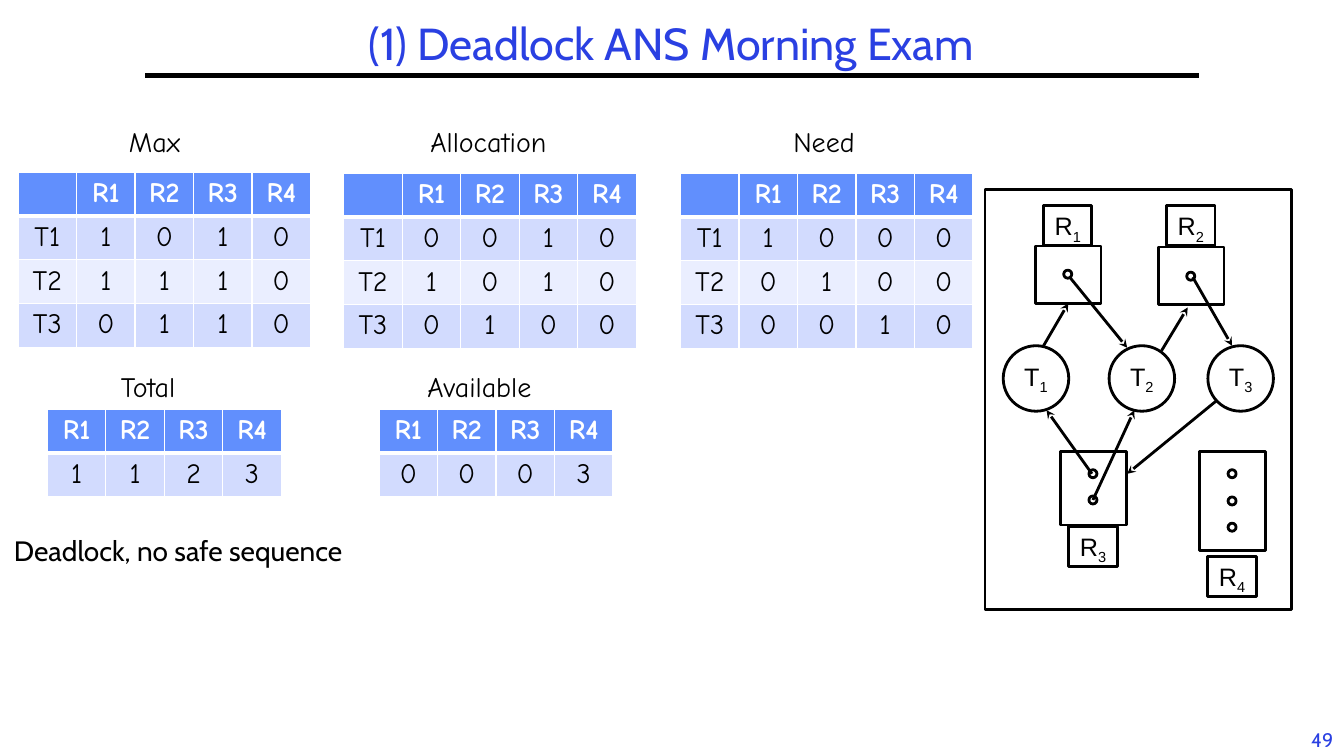
from lxml.etree import SubElement
from pptx import Presentation
from pptx.dml.color import RGBColor
from pptx.enum.shapes import MSO_CONNECTOR as Connector, MSO_SHAPE as Preset
from pptx.enum.text import MSO_ANCHOR as Anchor, MSO_AUTO_SIZE as AutoSize, PP_ALIGN as Align
from pptx.oxml import parse_xml
from pptx.oxml.ns import nsdecls, qn
from pptx.util import Emu, Pt

PX = 9144
COLORS = {
    "title": "2A40E2", "black": "000000", "white": "FFFFFF",
    "header": "618FFD", "odd": "D2DBFE", "even": "EAEEFF",
}
COLUMN = 58
RESOURCES = ["R1", "R2", "R3", "R4"]

MATRICES = [
    ("Max", (118, 119, 76), (18, 171, 42), ["1010", "1110", "0110"]),
    ("Allocation", (417, 119, 150), (341, 172, 42), ["0010", "1010", "0100"]),
    ("Need", (777, 119, 90), (675, 172, 43), ["1000", "0100", "0010"]),
]
VECTORS = [
    ("Total", (110, 362, 89), (47, 406, 41), "1123"),
    ("Available", (414, 362, 139), (376, 406, 43), "0003"),
]

CIRCLE, BOX_WIDTH, DOT = 65, 65, 8
LABEL_WIDTH, LABEL_HEIGHT = 48, 40
THREADS = [("1", 995), ("2", 1100), ("3", 1198)]
RESOURCE_BOXES = [
    ("1", 1027, 244, 57, [268], 204),
    ("2", 1149, 245, 57, [270], 204),
    ("3", 1052, 448, 73, [466, 492], 522),
    ("4", 1190, 448, 98, [466, 493, 519], 552),
]
ARROWS = [
    ((1061, 275), (1118, 345)),
    ((1152, 348), (1178, 305)),
    ((1183, 275), (1222, 343)),
    ((1083, 470), (1038, 407)),
    ((1084, 496), (1125, 407)),
    ((1206, 398), (1118, 470)),
]


def px(value):
    return Emu(round(value * PX))


def rgb(name):
    return RGBColor.from_string(COLORS[name])


class SlideBuilder:
    """Draws styled elements on the current slide."""

    def __init__(self, slide):
        self.slide = slide
        self.shapes = slide.shapes

    def format_paragraph(self, paragraph, font, size, color, align, bold=False):
        paragraph.alignment = align
        for run in paragraph.runs:
            run.font.name = font
            run.font.size = Pt(size)
            run.font.bold = bold
            run.font.color.rgb = rgb(color)

    def text(self, text, left, top, width, height, font="Comic Neue", size=20,
             color="black", align=Align.LEFT, wrap=False):
        shape = self.shapes.add_textbox(px(left), px(top), px(width), px(height))
        frame = shape.text_frame
        frame.text = text
        frame.word_wrap = wrap
        frame.auto_size = AutoSize.SHAPE_TO_FIT_TEXT
        self.format_paragraph(frame.paragraphs[0], font, size, color, align)
        return frame

    def title(self, text, left, top, width, height):
        frame = self.text(text, left, top, width, height, "Cabin", 32, "title", Align.CENTER, True)
        frame.auto_size = AutoSize.NONE
        frame.vertical_anchor = Anchor.MIDDLE
        frame.paragraphs[0].line_spacing = 0.9

    def shape(self, preset, left, top, width, height):
        shape = self.shapes.add_shape(preset, px(left), px(top), px(width), px(height))
        shape.shadow.inherit = False
        shape.fill.solid()
        shape.fill.fore_color.rgb = rgb("white")
        shape.line.color.rgb = rgb("black")
        shape.line.width = Pt(2)
        return shape

    def node(self, preset, letter, index, left, top, width, height, anchor):
        frame = self.shape(preset, left, top, width, height).text_frame
        frame.text = letter
        frame.word_wrap = False
        frame.vertical_anchor = anchor
        paragraph = frame.paragraphs[0]
        subscript = paragraph.add_run()
        subscript.text = index
        self.format_paragraph(paragraph, "Arial", 18, "black", Align.CENTER)
        subscript.font._element.set("baseline", "-25000")

    def resource(self, index, left, top, height, dot_tops, label_top):
        box = self.shape(Preset.RECTANGLE, left, top, BOX_WIDTH, height)
        for dot_top in dot_tops:
            self.shape(Preset.OVAL, left + (BOX_WIDTH - DOT) // 2, dot_top, DOT, DOT)
        label_left = left + (BOX_WIDTH - LABEL_WIDTH) // 2
        self.node(Preset.RECTANGLE, "R", index, label_left, label_top,
                  LABEL_WIDTH, LABEL_HEIGHT, Anchor.TOP)
        return box

    def line(self, start, end, width=2, arrow=False):
        connector = self.shapes.add_connector(
            Connector.STRAIGHT, *(px(value) for value in (*start, *end)))
        connector.line.color.rgb = rgb("black")
        connector.line.width = Pt(width)
        if arrow:
            SubElement(connector.line._get_or_add_ln(), qn("a:tailEnd"), type="stealth")
        SubElement(connector._element.spPr, qn("a:effectLst"))
        return connector

    def table(self, left, top, row_height, rows):
        row_count, column_count = len(rows), len(rows[0])
        table = self.shapes.add_table(
            row_count, column_count, px(left), px(top),
            px(COLUMN * column_count), px(row_height * row_count)).table
        table.horz_banding = False
        for column in table.columns:
            column.width = px(COLUMN)
        for row_index, values in enumerate(rows):
            for column_index, value in enumerate(values):
                self.cell(table.cell(row_index, column_index), value, row_index)

    def cell(self, cell, value, row_index):
        header = row_index == 0
        cell.text = value
        self.format_paragraph(cell.text_frame.paragraphs[0], "Comic Neue", 20,
                              "white" if header else "black", Align.CENTER, header)
        cell.fill.solid()
        cell.fill.fore_color.rgb = rgb("header" if header else "odd" if row_index % 2 else "even")
        widths = {"L": 1, "R": 1, "T": 3 if row_index == 1 else 1, "B": 3 if header else 1}
        properties = cell._tc.get_or_add_tcPr()
        for position, (side, width) in enumerate(widths.items()):
            properties.insert(position, parse_xml(
                f'<a:ln{side} {nsdecls("a")} w="{Pt(width)}"><a:solidFill>'
                f'<a:srgbClr val="{COLORS["white"]}"/></a:solidFill></a:ln{side}>'))


def main():
    presentation = Presentation()
    presentation.slide_width = px(1333)
    presentation.slide_height = px(750)
    builder = SlideBuilder(presentation.slides.add_slide(presentation.slide_layouts[6]))

    builder.text("49", 1290, 717, 43, 33, "Cabin", 14, "title", Align.CENTER)
    builder.line((144, 75), (1189, 75), 3)
    builder.title("(1) Deadlock ANS Morning Exam", 144, 17, 1044, 58)

    for name, caption, place, matrix in MATRICES:
        builder.text(name, *caption, 44)
        rows = [[f"T{number}", *values] for number, values in enumerate(matrix, 1)]
        builder.table(*place, [["", *RESOURCES], *rows])
    for name, caption, place, values in VECTORS:
        builder.text(name, *caption, 44)
        builder.table(*place, [RESOURCES, list(values)])

    builder.shape(Preset.RECTANGLE, 977, 188, 304, 417)
    for index, left in THREADS:
        builder.node(Preset.OVAL, "T", index, left, 343, CIRCLE, CIRCLE, Anchor.MIDDLE)
    boxes = [builder.resource(*resource) for resource in RESOURCE_BOXES]
    builder.line((1035, 343), (1060, 301), arrow=True).end_connect(boxes[0], 2)
    for start, end in ARROWS:
        builder.line(start, end, arrow=True)

    builder.text("Deadlock, no safe sequence", 4, 524, 696, 44, "Cabin", wrap=True)
    presentation.save("out.pptx")


if __name__ == "__main__":
    main()
